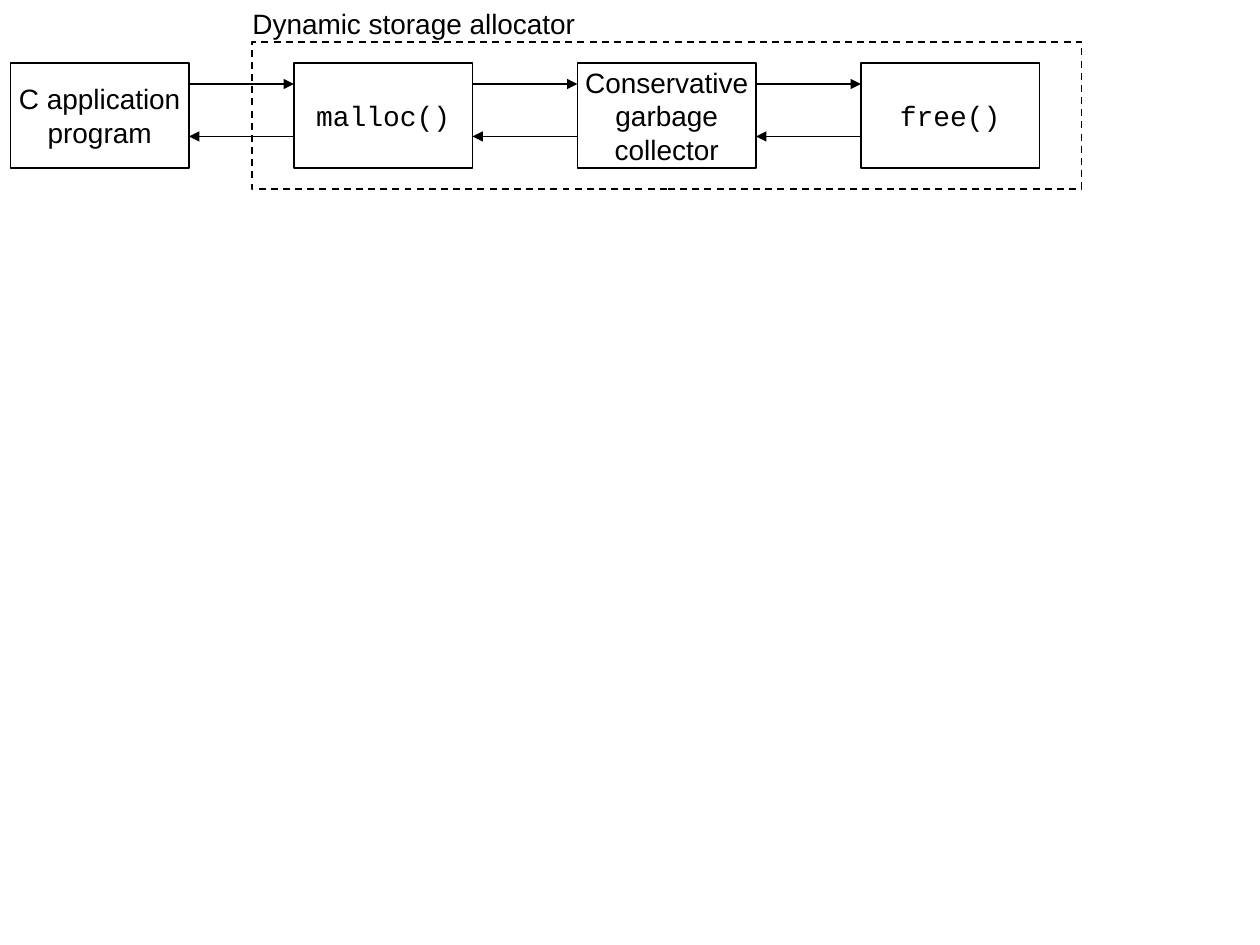
"""Builds a slide showing how a C program talks to a dynamic storage allocator."""
from dataclasses import dataclass

from lxml import etree
from pptx import Presentation
from pptx.dml.color import RGBColor
from pptx.enum.dml import MSO_LINE
from pptx.enum.shapes import MSO_CONNECTOR, MSO_SHAPE
from pptx.enum.text import MSO_ANCHOR, MSO_AUTO_SIZE, PP_ALIGN
from pptx.oxml.ns import qn
from pptx.util import Pt

RECTANGLE = MSO_SHAPE.RECTANGLE
STRAIGHT = MSO_CONNECTOR.STRAIGHT
DASH = MSO_LINE.DASH
MIDDLE = MSO_ANCHOR.MIDDLE
CENTER = PP_ALIGN.CENTER
FIT_SHAPE = MSO_AUTO_SIZE.SHAPE_TO_FIT_TEXT


@dataclass(frozen=True)
class Theme:
    """Colours, fonts and sizes of the diagram."""
    ink: RGBColor = RGBColor(0, 0, 0)
    text_font: str = "Arial"
    code_font: str = "Courier New"
    text_size: int = 16
    line_width: int = 1


class Diagram:
    """Draws styled elements on the current slide."""

    def __init__(self, slide, theme):
        self.slide = slide
        self.theme = theme

    def set_lines(self, frame, lines, font_name):
        """Fill a text frame with centred lines."""
        frame.word_wrap = False
        frame.vertical_anchor = MIDDLE
        for index, line in enumerate(lines):
            para = frame.add_paragraph() if index else frame.paragraphs[0]
            para.alignment = CENTER
            span = para.add_run()
            span.text = line
            span.font.name = font_name
            span.font.size = Pt(self.theme.text_size)
            span.font.color.rgb = self.theme.ink

    def outline(self, line):
        """Apply the common line style."""
        line.color.rgb = self.theme.ink
        line.width = Pt(self.theme.line_width)

    def frame(self, left, top, width, height):
        """Add an unfilled rectangle."""
        box = self.slide.shapes.add_shape(
            RECTANGLE, Pt(left), Pt(top), Pt(width), Pt(height))
        box.shadow.inherit = False
        box.fill.background()
        self.outline(box.line)
        return box

    def box(self, left, top, width, height, lines, font_name):
        """Add a rectangle holding centred text."""
        box = self.frame(left, top, width, height)
        self.set_lines(box.text_frame, lines, font_name)

    def group_frame(self, left, top, width, height):
        """Add a dashed rectangle around a group of boxes."""
        self.frame(left, top, width, height).line.dash_style = DASH

    def label(self, left, top, width, height, text):
        """Add a one-line text box."""
        box = self.slide.shapes.add_textbox(
            Pt(left), Pt(top), Pt(width), Pt(height))
        self.set_lines(box.text_frame, [text], self.theme.text_font)
        box.text_frame.auto_size = FIT_SHAPE

    def arrow(self, left, right, height, end):
        """Add a level arrow pointing at its headEnd (left) or tailEnd (right)."""
        arrow = self.slide.shapes.add_connector(
            STRAIGHT, Pt(left), Pt(height), Pt(right), Pt(height))
        self.outline(arrow.line)
        properties = arrow._element.spPr
        etree.SubElement(properties.find(qn("a:ln")), qn(f"a:{end}"), type="triangle")
        etree.SubElement(properties, qn("a:effectLst"))


def main():
    """Build and save the deck."""
    deck = Presentation()
    deck.slide_width, deck.slide_height = Pt(720), Pt(540)
    page = deck.slides.add_slide(deck.slide_layouts[6])
    theme = Theme()
    diagram = Diagram(page, theme)

    stages = [
        (["C application", "program"], theme.text_font),
        (["malloc()"], theme.code_font),
        (["Conservative", "garbage", "collector"], theme.text_font),
        (["free()"], theme.code_font),
    ]
    left, top, width, height, gap = 6, 36, 102, 60, 60
    for index, (lines, font_name) in enumerate(stages):
        box_left = left + index * (width + gap)
        diagram.box(box_left, top, width, height, lines, font_name)
        if index:
            diagram.arrow(box_left - gap, box_left, top + 12, "tailEnd")
            diagram.arrow(box_left - gap, box_left, top + 42, "headEnd")

    diagram.group_frame(144, 24, 474, 84)
    diagram.label(136.8, 0, 199.4, 26.6, "Dynamic storage allocator")
    deck.save("out.pptx")


if __name__ == "__main__":
    main()
